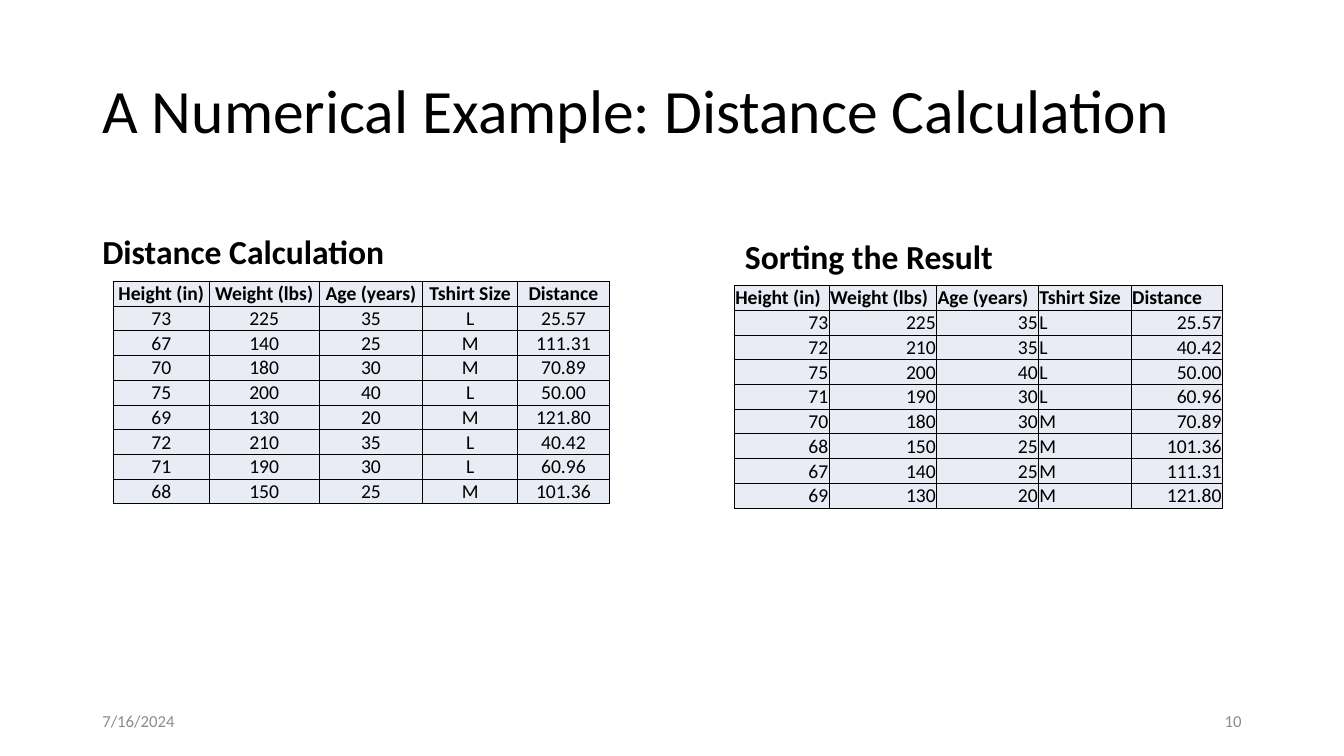
import dataclasses

import lxml.etree
import pptx
import pptx.dml.color
import pptx.enum.text
import pptx.oxml.ns
import pptx.util

Pt = pptx.util.Pt
Align = pptx.enum.text.PP_ALIGN
Anchor = pptx.enum.text.MSO_ANCHOR

FONT = "Calibri"
BLACK = "000000"
GREY = "8C8C8C"
PALE = "E9EBF5"
ROW = 17.28
EDGE = 0.5

HEAD = ("Height (in)", "Weight (lbs)", "Age (years)", "Tshirt Size", "Distance")
DATA = [
    ("73", "225", "35", "L", "25.57"),
    ("67", "140", "25", "M", "111.31"),
    ("70", "180", "30", "M", "70.89"),
    ("75", "200", "40", "L", "50.00"),
    ("69", "130", "20", "M", "121.80"),
    ("72", "210", "35", "L", "40.42"),
    ("71", "190", "30", "L", "60.96"),
    ("68", "150", "25", "M", "101.36"),
]
SORTED = sorted(DATA, key=lambda row: float(row[-1]))


@dataclasses.dataclass
class Label:
    text: str
    left: float
    top: float
    width: float
    height: float
    size: float
    color: str = BLACK
    bold: bool = False
    align: Align = Align.LEFT
    anchor: Anchor = Anchor.MIDDLE
    pitch: float = 1.0


@dataclasses.dataclass
class Grid:
    rows: list[tuple[str, ...]]
    left: float
    top: float
    widths: tuple[float, ...]
    head: Align
    body: tuple[Align, ...]


TITLE = Label("A Numerical Example: Distance Calculation",
              66, 28.75, 828, 104.4, 44, pitch=0.9)
LABELS = [
    Label("Distance Calculation", 66, 132.4, 406, 64.9, 24,
          bold=True, anchor=Anchor.BOTTOM, pitch=0.9),
    Label("Sorting the Result", 525, 136.4, 408, 64.9, 24,
          bold=True, anchor=Anchor.BOTTOM, pitch=0.9),
    Label("7/16/2024", 66, 500.5, 216, 28.75, 12, GREY),
    Label("10", 678, 500.5, 216, 28.75, 12, GREY, align=Align.RIGHT),
]
GRIDS = [
    Grid(DATA, 81, 200.9, (68.4, 78.6, 74, 67.7, 65.6),
         Align.CENTER, (Align.CENTER,) * 5),
    Grid(SORTED, 524.6, 203.9, (67.7, 76.8, 72.8, 66.3, 65),
         Align.LEFT, (Align.RIGHT,) * 3 + (Align.LEFT, Align.RIGHT)),
]


def shade(code: str) -> pptx.dml.color.RGBColor:
    return pptx.dml.color.RGBColor.from_string(code)


def style(para, size: float, color: str, bold: bool, align: Align) -> None:
    para.alignment = align
    font = para.font
    font.name, font.size, font.bold = FONT, Pt(size), bold
    font.color.rgb = shade(color)


def write(shape, label: Label) -> None:
    shape.left, shape.top = Pt(label.left), Pt(label.top)
    shape.width, shape.height = Pt(label.width), Pt(label.height)
    frame = shape.text_frame
    frame.text = label.text
    frame.word_wrap = True
    frame.auto_size = pptx.enum.text.MSO_AUTO_SIZE.NONE
    frame.vertical_anchor = label.anchor
    para = frame.paragraphs[0]
    para.line_spacing = label.pitch
    style(para, label.size, label.color, label.bold, label.align)


def border(cell) -> None:
    props = cell._tc.get_or_add_tcPr()
    qn = pptx.oxml.ns.qn
    for side in ("lnL", "lnR", "lnT", "lnB"):
        line = lxml.etree.SubElement(props, qn(f"a:{side}"), w=str(Pt(EDGE)))
        fill = lxml.etree.SubElement(line, qn("a:solidFill"))
        lxml.etree.SubElement(fill, qn("a:srgbClr"), val=BLACK)


def fill(cell, text: str, bold: bool, align: Align) -> None:
    cell.text = text
    cell.vertical_anchor = Anchor.BOTTOM
    cell.margin_left = cell.margin_right = cell.margin_top = Pt(0.6)
    cell.margin_bottom = Pt(0)
    border(cell)
    cell.fill.solid()
    cell.fill.fore_color.rgb = shade(PALE)
    style(cell.text_frame.paragraphs[0], 14, BLACK, bold, align)


def draw(slide, grid: Grid) -> None:
    rows = [HEAD, *grid.rows]
    frame = slide.shapes.add_table(
        len(rows), len(HEAD), Pt(grid.left), Pt(grid.top),
        Pt(sum(grid.widths)), Pt(ROW * len(rows)))
    table = frame.table
    table.horz_banding = False
    for col, width in zip(table.columns, grid.widths):
        col.width = Pt(width)
    for r, row in enumerate(rows):
        table.rows[r].height = Pt(ROW)
        for c, text in enumerate(row):
            align = grid.body[c] if r else grid.head
            fill(table.cell(r, c), text, r == 0, align)


def main() -> None:
    deck = pptx.Presentation()
    deck.slide_width, deck.slide_height = Pt(960), Pt(540)
    slide = deck.slides.add_slide(deck.slide_layouts[5])
    write(slide.shapes.title, TITLE)
    for label in LABELS:
        write(slide.shapes.add_textbox(0, 0, 0, 0), label)
    for grid in GRIDS:
        draw(slide, grid)
    deck.save("out.pptx")


if __name__ == "__main__":
    main()
